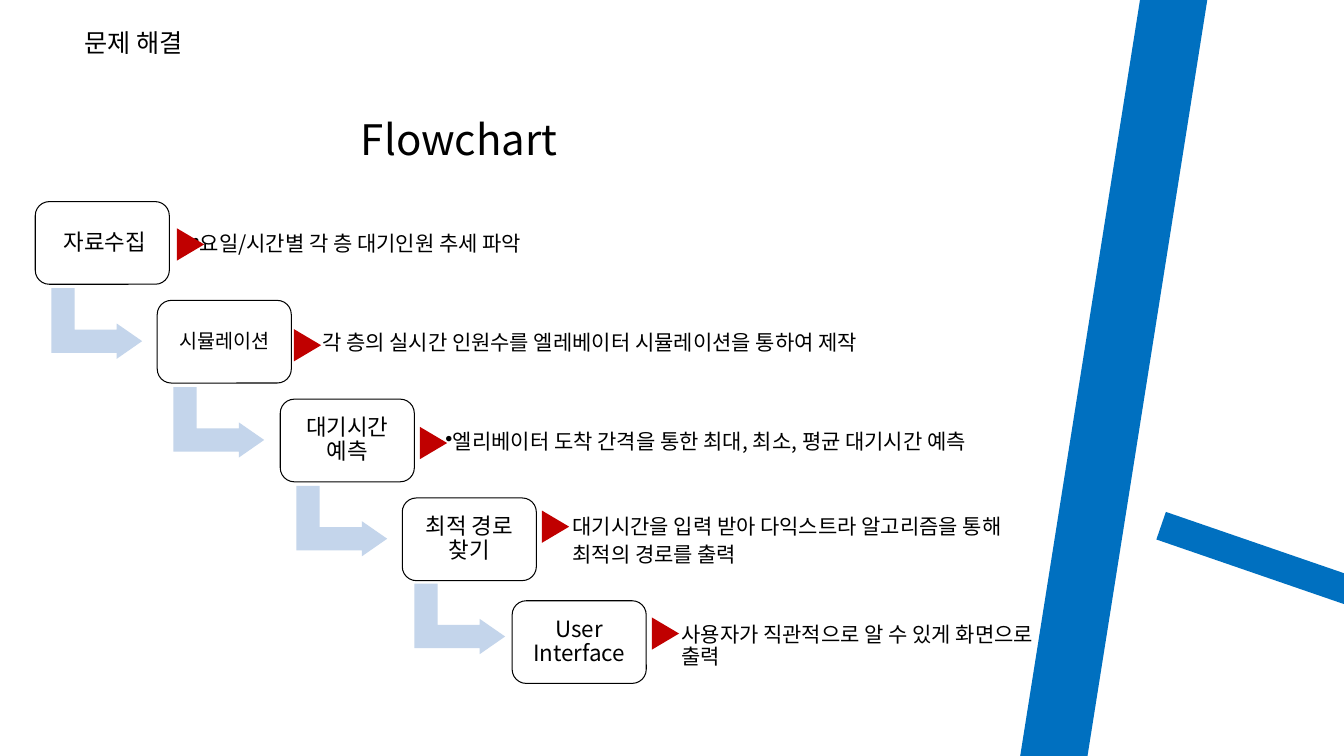
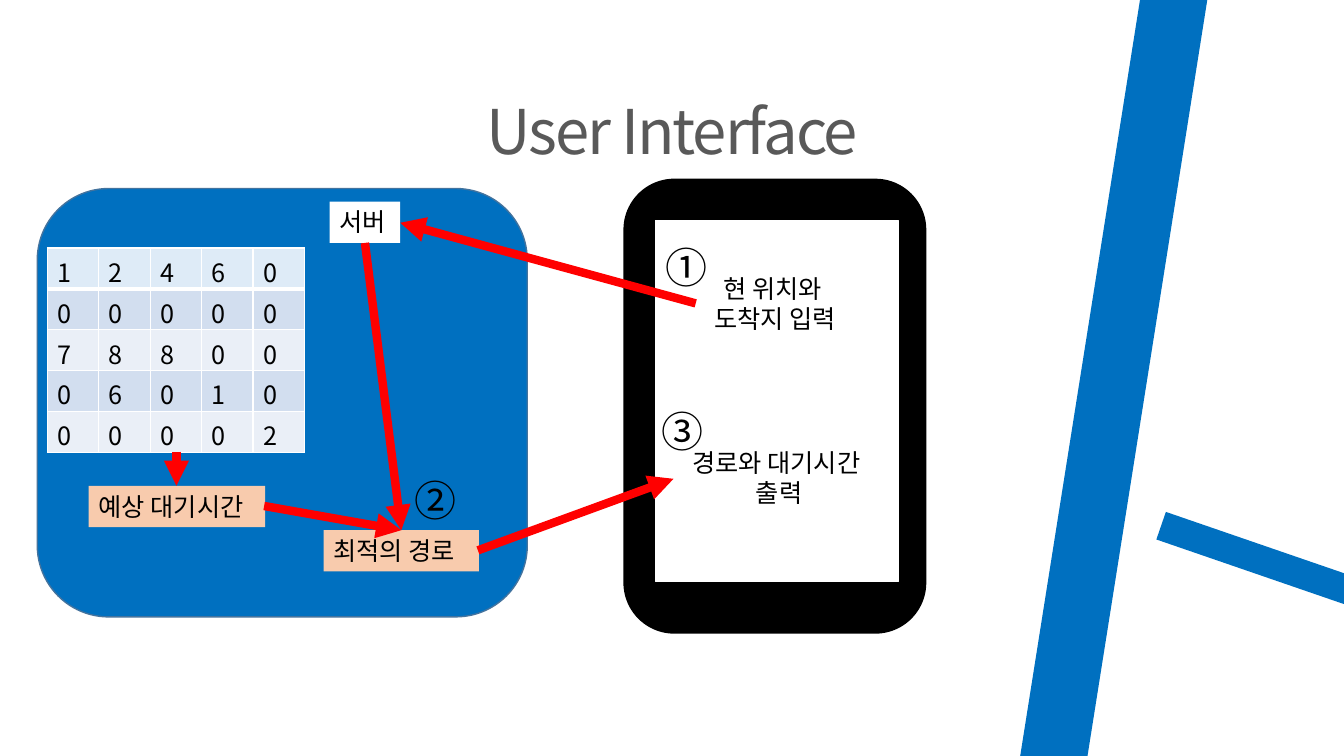
from dataclasses import dataclass
from lxml.etree import SubElement
from pptx import Presentation
from pptx.dml.color import RGBColor
from pptx.enum.shapes import MSO_CONNECTOR, MSO_SHAPE
from pptx.enum.text import MSO_ANCHOR, PP_ALIGN
from pptx.oxml.ns import qn
from pptx.util import Pt

PX = 9144
FONT = "Noto Sans CJK KR"
BLUE = RGBColor(0x00, 0x70, 0xC0)
BLUE_EDGE = RGBColor(0x43, 0x73, 0x9E)
PALE_BLUE = RGBColor(0xC4, 0xD5, 0xEB)
HEADER_ROW = RGBColor(0xDE, 0xEB, 0xF7)
ODD_ROW = RGBColor(0xD2, 0xDE, 0xEF)
EVEN_ROW = RGBColor(0xEA, 0xEF, 0xF7)
PEACH = RGBColor(0xF8, 0xCB, 0xAD)
DARK_RED = RGBColor(0xC0, 0x00, 0x00)
RED = RGBColor(0xFF, 0x00, 0x00)
GREY = RGBColor(0x59, 0x59, 0x59)
BLACK = RGBColor(0x00, 0x00, 0x00)
WHITE = RGBColor(0xFF, 0xFF, 0xFF)


@dataclass
class Step:
    left: int
    top: int
    label: str
    size: int
    marker: tuple
    caption: tuple
    width: int
    lines: tuple
    bullet: bool = False
    elbow: tuple = (26, 76)


STEPS = [
    Step(35, 200, " 자료수집", 16, (138, 29), (146, 9), 400,
         ("요일/시간별 각 층 대기인원 추세 파악",), bullet=True),
    Step(156, 298, "시뮬레이션", 14, (133, 31), (149, 10), 683,
         (" 각 층의 실시간 인원수를 엘레베이터 시뮬레이션을 통하여 제작",)),
    Step(278, 396, "대기시간 예측", 16, (136, 30), (154, 10), 608,
         ("엘리베이터 도착 간격을 통한 최대, 최소, 평균 대기시간 예측",), bullet=True),
    Step(399, 494, "최적 경로 찾기", 16, (136, 15), (159, 10), 670,
         ("대기시간을 입력 받아 다익스트라 알고리즘을 통해", "최적의 경로를 출력"),
         elbow=(22, 75)),
    Step(508, 596, "User Interface", 16, (136, 19), (158, 12), 389,
         ("사용자가 직관적으로 알 수 있게 화면으로 출력",)),
]

WAITING = ["12460", "00000", "78800", "06010", "00002"]


def px(*lengths):
    return [length * PX for length in lengths]


def write(frame, lines, size, color=BLACK, align=PP_ALIGN.LEFT, anchor=MSO_ANCHOR.TOP,
          wrap=True, inset=(10, 5), spacing=None, after=None, bullet=False, tracking=None):
    frame.word_wrap = wrap
    frame.vertical_anchor = anchor
    frame.margin_left = frame.margin_right = inset[0] * PX
    frame.margin_top = frame.margin_bottom = inset[1] * PX
    for index, line in enumerate(lines):
        para = frame.add_paragraph() if index else frame.paragraphs[0]
        write_line(para, line, size, color, align, tracking)
        if spacing:
            para.line_spacing = spacing
        if after:
            para.space_after = Pt(after)
        if bullet:
            SubElement(para._p.get_or_add_pPr(), qn("a:buChar"), char="•")


def write_line(para, line, size, color=BLACK, align=PP_ALIGN.LEFT, tracking=None):
    para.alignment = align
    span = para.add_run()
    span.text = line
    span.font.size = Pt(size)
    span.font.color.rgb = color
    span.font.name = FONT
    properties = span._r.get_or_add_rPr()
    SubElement(properties, qn("a:ea"), typeface=FONT)
    if tracking:
        properties.set("spc", str(tracking))


def add_text(page, box, lines, size, fill=None, **style):
    text = page.shapes.add_textbox(*px(*box))
    if fill is not None:
        text.fill.solid()
        text.fill.fore_color.rgb = fill
    write(text.text_frame, lines, size, **style)


def add_block(page, kind, box, fill=None, line=None, weight=1, turn=0, adjust=()):
    block = page.shapes.add_shape(kind, *px(*box))
    block.shadow.inherit = False
    block.rotation = turn
    for index, value in enumerate(adjust):
        block.adjustments[index] = value
    if fill is None:
        block.fill.background()
    else:
        block.fill.solid()
        block.fill.fore_color.rgb = fill
    if line is None:
        block.line.fill.background()
    else:
        block.line.color.rgb = line
        block.line.width = Pt(weight)
    return block


def add_arrow(page, start, end):
    arrow = page.shapes.add_connector(MSO_CONNECTOR.STRAIGHT, *px(*start, *end))
    arrow.line.color.rgb = RED
    arrow.line.width = Pt(6)
    SubElement(arrow.line._get_or_add_ln(), qn("a:tailEnd"), type="triangle")
    SubElement(arrow._element.spPr, qn("a:effectLst"))


def add_page(deck):
    page = deck.slides.add_slide(deck.slide_layouts[6])
    add_block(page, MSO_SHAPE.RECTANGLE, (1442, 304, 29, 645), BLUE, turn=109)
    add_block(page, MSO_SHAPE.RECTANGLE, (1069, -20, 66, 824), BLUE, turn=9)
    return page


def add_elbow(page, left, top):
    add_block(page, MSO_SHAPE.BENT_UP_ARROW, (left, top, 70, 90), PALE_BLUE, turn=90,
              adjust=(0.33, 0.25, 0.36))


def add_step(page, step):
    card = add_block(page, MSO_SHAPE.ROUNDED_RECTANGLE, (step.left, step.top, 133, 82),
                     line=BLACK, weight=0, adjust=(0.17,))
    write(card.text_frame, [step.label], step.size, align=PP_ALIGN.CENTER,
          anchor=MSO_ANCHOR.MIDDLE, inset=(7, 7), spacing=0.9, after=7)
    add_text(page, (step.left + step.caption[0], step.top + step.caption[1], step.width, 67),
             step.lines, 15, anchor=MSO_ANCHOR.MIDDLE, spacing=0.9, after=4,
             bullet=step.bullet)
    add_block(page, MSO_SHAPE.ISOSCELES_TRIANGLE,
              (step.left + step.marker[0], step.top + step.marker[1], 32, 27),
              DARK_RED, turn=90)


def add_flowchart(deck):
    page = add_page(deck)
    add_text(page, (74, 22, 128, 40), ["문제 해결"], 18)
    add_text(page, (130, 108, 651, 61), ["Flowchart"], 30, align=PP_ALIGN.CENTER)
    for step in STEPS[:-1]:
        add_elbow(page, step.left + step.elbow[0], step.top + step.elbow[1])
    for step in STEPS:
        add_step(page, step)


def fill_cell(cell, value, color, bottom):
    cell.fill.solid()
    cell.fill.fore_color.rgb = color
    write_line(cell.text_frame.paragraphs[0], value, 18, align=PP_ALIGN.JUSTIFY)
    properties = cell._tc.get_or_add_tcPr()
    for index, (side, weight) in enumerate([("L", 1), ("R", 1), ("T", 1), ("B", bottom)]):
        border = SubElement(properties, qn("a:ln" + side), w=str(Pt(weight)))
        SubElement(SubElement(border, qn("a:solidFill")), qn("a:srgbClr"), val=str(WHITE))
        properties.insert(index, border)


def add_waiting_table(page, box):
    grid = page.shapes.add_table(len(WAITING), len(WAITING[0]), *px(*box)).table
    grid.first_row = grid.horz_banding = False
    for row, values in enumerate(WAITING):
        color = HEADER_ROW if row == 0 else ODD_ROW if row % 2 else EVEN_ROW
        for column, value in enumerate(values):
            fill_cell(grid.cell(row, column), value, color, 1 if row else 3)


def add_server(page, left, top):
    add_block(page, MSO_SHAPE.ROUNDED_RECTANGLE, (left, top, 486, 425), BLUE, BLUE_EDGE)
    add_waiting_table(page, (left + 10, top + 59, 255, 203))
    for across, down, width, label, fill in [(290, 13, 70, "서버", WHITE),
                                             (51, 295, 175, "예상 대기시간", PEACH),
                                             (284, 339, 154, "최적의 경로", PEACH)]:
        add_text(page, (left + across, top + down, width, 41), [label], 18, fill, wrap=False)


def add_phone(page, left, top):
    add_block(page, MSO_SHAPE.ROUNDED_RECTANGLE, (left, top, 299, 450), BLACK, BLACK)
    add_block(page, MSO_SHAPE.RECTANGLE, (left + 31, top + 41, 241, 358), WHITE, WHITE)
    for across, down, width, lines in [(49, 261, 204, ["경로와 대기시간", " 출력"]),
                                       (71, 88, 158, ["현 위치와 ", "도착지 입력"])]:
        add_text(page, (left + across, top + down, width, 71), lines, 18,
                 align=PP_ALIGN.CENTER, wrap=False)


def add_interface(deck):
    page = add_page(deck)
    add_text(page, (67, 30, 1200, 125), ["User Interface"], 44, color=GREY,
             align=PP_ALIGN.CENTER, anchor=MSO_ANCHOR.MIDDLE, spacing=2.0, tracking=-150)
    add_server(page, 37, 187)
    add_phone(page, 619, 178)
    for start, end in [((474, 546), (668, 475)), ((690, 301), (397, 221)),
                       ((175, 448), (175, 482)), ((262, 502), (398, 526)),
                       ((362, 241), (398, 526))]:
        add_arrow(page, start, end)
    for left, top, number in [(660, 240, "①"), (411, 471, "②"), (656, 402, "③")]:
        add_text(page, (left, top, 48, 51), [number], 30, inset=(0, 0))


def main():
    deck = Presentation()
    deck.slide_width, deck.slide_height = px(1333, 750)
    add_flowchart(deck)
    add_interface(deck)
    deck.save("out.pptx")


if __name__ == "__main__":
    main()
